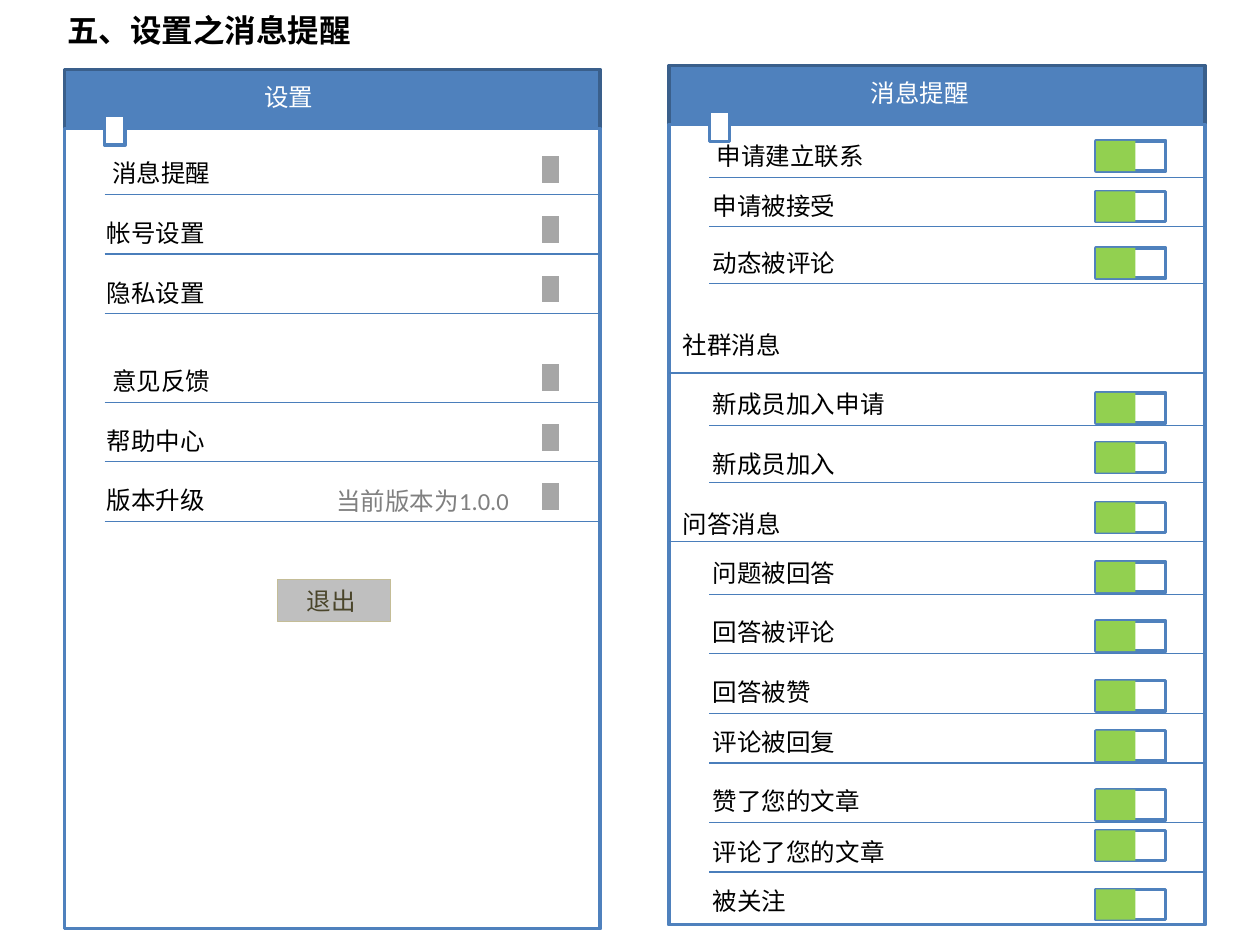
from dataclasses import dataclass

from lxml.etree import SubElement
from pptx import Presentation
from pptx.dml.color import RGBColor
from pptx.enum.shapes import MSO_CONNECTOR, MSO_SHAPE
from pptx.enum.text import MSO_ANCHOR, MSO_AUTO_SIZE, PP_ALIGN
from pptx.oxml.ns import qn
from pptx.util import Cm, Pt


@dataclass(frozen=True)
class Theme:
    font: str = "Calibri"
    title_size: int = 18
    body_size: int = 14
    black: str = "000000"
    white: str = "FFFFFF"
    blue: str = "4F81BD"
    dark_blue: str = "3A5F8B"
    rule: str = "4A7EBB"
    pale: str = "F2F2F2"
    green: str = "92D050"
    marker: str = "A6A6A6"
    note: str = "808080"
    button: str = "BFBFBF"
    button_edge: str = "C4BD97"
    button_text: str = "4A452A"
    thick: float = 2
    thin: float = 0.75


T = Theme()

# Sizes in cm
PANEL_W, PANEL_H, HEADER_H = 10.8, 17.32, 1.19
INDENT = 0.81
ICON_W, ICON_H = 0.41, 0.61
TOGGLE_X, TOGGLE_W, TOGGLE_ON_W = 22.1, 1.4, 0.79
LABEL_H = 0.85
LEFT_X, LEFT_Y = 1.3, 1.4
RIGHT_X, RIGHT_Y = 13.49, 1.32

# Left panel: top of each group of rows, and its entries
ROW_STEP = 1.2
GROUPS = [
    (3.07, ["消息提醒", "帐号设置", "隐私设置"]),
    (7.26, ["意见反馈", "帮助中心", "版本升级"]),
]

# Right panel: text, text left, text top, line left, line y, toggle top
ITEM_X, HEAD_X = 14.12, 13.51
ITEM_RULE, HEAD_RULE = RIGHT_X + INDENT, RIGHT_X
ALERTS = [
    ("申请建立联系", 14.2, 2.72, ITEM_RULE, 3.58, 2.84),
    ("申请被接受", ITEM_X, 3.73, ITEM_RULE, 4.57, 3.86),
    ("动态被评论", ITEM_X, 4.88, ITEM_RULE, 5.72, 5.0),
    ("社群消息", HEAD_X, 6.53, HEAD_RULE, 7.52, None),
    ("新成员加入申请", ITEM_X, 7.72, ITEM_RULE, 8.58, 7.92),
    ("新成员加入", ITEM_X, 8.92, ITEM_RULE, 9.73, 8.92),
    ("问答消息", HEAD_X, 10.13, HEAD_RULE, 10.92, 10.13),
    ("问题被回答", ITEM_X, 11.13, ITEM_RULE, 11.98, 11.33),
    ("回答被评论", ITEM_X, 12.32, ITEM_RULE, 13.18, 12.52),
    ("回答被赞", ITEM_X, 13.52, ITEM_RULE, 14.38, 13.72),
    ("评论被回复", ITEM_X, 14.53, ITEM_RULE, 15.38, 14.73),
    ("赞了您的文章", ITEM_X, 15.72, ITEM_RULE, 16.58, 15.92),
    ("评论了您的文章", ITEM_X, 16.74, ITEM_RULE, 17.58, 16.74),
    ("被关注", ITEM_X, 17.73, None, None, 17.93),
]


def rgb(color):
    return RGBColor.from_string(color)


def add_run(p, text, size, color, bold=False):
    r = p.add_run()
    r.text = text
    r.font.name = T.font
    r.font.size = Pt(size)
    r.font.bold = bold
    r.font.color.rgb = rgb(color)


def add_title(s, text):
    sp = s.shapes.title
    sp.left, sp.top, sp.width, sp.height = Cm(1.1), Cm(0.1), Cm(11.8), Cm(1.02)
    tf = sp.text_frame
    tf.word_wrap = True
    tf.auto_size = MSO_AUTO_SIZE.NONE
    tf.vertical_anchor = MSO_ANCHOR.TOP
    p = tf.paragraphs[0]
    p.alignment = PP_ALIGN.LEFT
    add_run(p, text, T.title_size, T.black, bold=True)


def add_rect(s, x, y, w, h, fill, line=None, weight=T.thick):
    sp = s.shapes.add_shape(MSO_SHAPE.RECTANGLE, Cm(x), Cm(y), Cm(w), Cm(h))
    sp.shadow.inherit = False
    sp.fill.solid()
    sp.fill.fore_color.rgb = rgb(fill)
    if line:
        sp.line.color.rgb = rgb(line)
        sp.line.width = Pt(weight)
    else:
        sp.line.fill.background()
    return sp


def add_label(s, text, x, y, color=T.black, w=None):
    w = w or 0.51 + 0.494 * len(text)
    sp = s.shapes.add_textbox(Cm(x), Cm(y), Cm(w), Cm(LABEL_H))
    tf = sp.text_frame
    tf.word_wrap = False
    add_run(tf.paragraphs[0], text, T.body_size, color)


def add_rule(s, x1, x2, y):
    cn = s.shapes.add_connector(MSO_CONNECTOR.STRAIGHT, Cm(x1), Cm(y), Cm(x2), Cm(y))
    cn.line.color.rgb = rgb(T.rule)
    cn.line.width = Pt(T.thin)
    SubElement(cn._element.spPr, qn("a:effectLst"))


def add_toggle(s, y):
    add_rect(s, TOGGLE_X, y, TOGGLE_W, ICON_H, T.white, T.blue)
    add_rect(s, TOGGLE_X, y, TOGGLE_ON_W, ICON_H, T.green)


def add_button(s, text, x, y, w, h):
    sp = add_rect(s, x, y, w, h, T.button, T.button_edge, T.thin)
    tf = sp.text_frame
    tf.margin_left = Cm(0.59)
    p = tf.paragraphs[0]
    p.alignment = PP_ALIGN.LEFT
    add_run(p, text, T.body_size, T.button_text)


def add_panel(s, x, y, title, title_x):
    add_rect(s, x, y + 0.13, PANEL_W, PANEL_H - 0.13, T.pale, T.blue)
    add_rect(s, x, y, PANEL_W, HEADER_H, T.blue, T.dark_blue)
    add_rect(s, x, y + HEADER_H, PANEL_W, PANEL_H - HEADER_H, T.white, T.blue)
    add_label(s, title, title_x, y + 0.13, T.white)
    # Back marker
    add_rect(s, x + INDENT, y + 0.92, ICON_W, ICON_H, T.white, T.blue)


def add_settings(s):
    add_panel(s, LEFT_X, LEFT_Y, "设置", 5.08)
    for top, entries in GROUPS:
        for i, text in enumerate(entries):
            y = top + i * ROW_STEP
            add_label(s, text, 1.9 if i else 2.01, y)
            add_rule(s, LEFT_X + INDENT, LEFT_X + PANEL_W, y + LABEL_H)
            add_rect(s, 10.9, y + 0.05, ICON_W, ICON_H, T.marker, T.white)
    add_label(s, "当前版本为1.0.0", 6.53, 9.67, T.note, w=4.34)
    add_button(s, "退出", 5.59, 11.68, 2.29, 0.85)


def add_alerts(s):
    add_panel(s, RIGHT_X, RIGHT_Y, "消息提醒", 17.3)
    for text, x, y, rule_x, rule_y, toggle_y in ALERTS:
        add_label(s, text, x, y)
        if rule_y is not None:
            add_rule(s, rule_x, RIGHT_X + PANEL_W, rule_y)
        if toggle_y is not None:
            add_toggle(s, toggle_y)


def main():
    prs = Presentation()
    prs.slide_width, prs.slide_height = Cm(25.4), Cm(19.05)
    s = prs.slides.add_slide(prs.slide_layouts[5])
    add_title(s, "五、设置之消息提醒")
    add_settings(s)
    add_alerts(s)
    prs.save("out.pptx")


if __name__ == "__main__":
    main()
